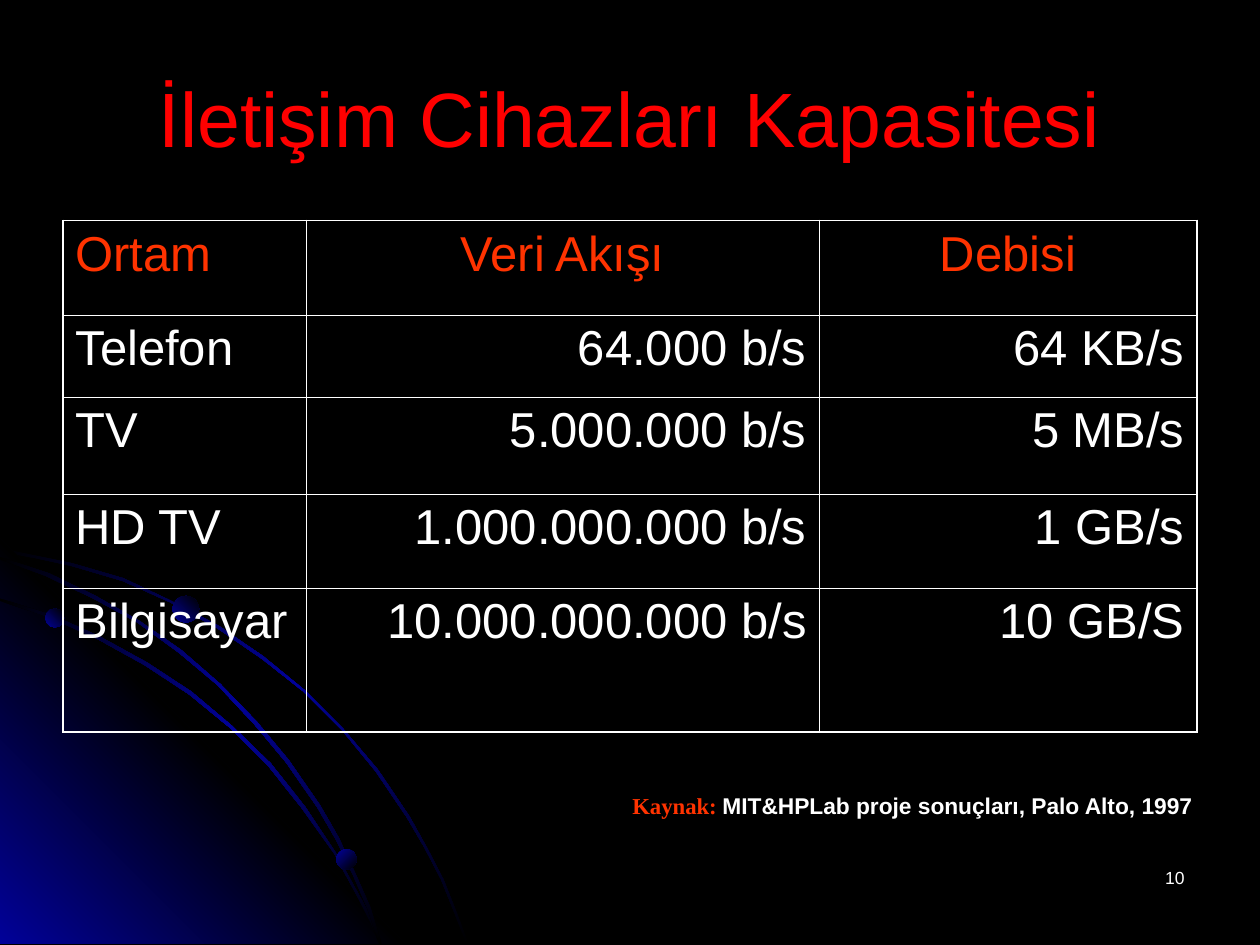
import copy

import pptx
import pptx.util
from lxml import etree
from pptx.dml.color import RGBColor
from pptx.enum.shapes import MSO_SHAPE
from pptx.enum.text import MSO_ANCHOR, PP_ALIGN
from pptx.oxml.ns import qn

PX = 9144  # 100 px to the inch


class Theme:
    ink, back, blue = "FFFFFF", "000000", "010199"
    title, head = "FF0000", "FF3300"
    sans, serif = "Arial", "Times New Roman"
    big, cell, note, small = 44, 28, 13, 10
    thin, thick = 0.45, 1.08


LEFT, MID, RIGHT = PP_ALIGN.LEFT, PP_ALIGN.CENTER, PP_ALIGN.RIGHT

TITLE = "İletişim Cihazları Kapasitesi"
ROWS = [
    ("Ortam", "Veri Akışı", "Debisi"),
    ("Telefon", "64.000 b/s", "64 KB/s"),
    ("TV", "5.000.000 b/s", "5 MB/s"),
    ("HD TV", "1.000.000.000 b/s", "1 GB/s"),
    ("Bilgisayar", "10.000.000.000 b/s", "10 GB/S"),
]
WIDTHS = [193, 407, 300]
HEIGHTS = [75, 65, 77, 75, 114]
SOURCE = [
    ("Kaynak: ", Theme.serif, Theme.head),
    ("MIT&HPLab proje sonuçları, Palo Alto, 1997", Theme.sans, Theme.ink),
]
PAGE = "10"

GLOW = [(0, Theme.back), (50, Theme.blue), (100, Theme.back)]
FADE = [(0, Theme.blue), (50, Theme.back), (100, Theme.blue)]
BALL = [(0, Theme.blue), (100, Theme.back)]

OUTER = [
    (57, 447), (28, 441), (0, 435), (0, 438), (28, 443), (56, 449),
    (97, 461), (135, 478), (173, 499), (208, 523), (241, 549), (271, 579),
    (298, 612), (323, 649), (337, 673), (350, 698), (360, 723), (370, 749),
    (372, 749), (362, 723), (352, 698), (339, 673), (325, 648), (300, 611),
    (272, 578), (242, 548), (209, 521), (174, 497), (136, 477), (98, 459),
]
CORNER = [(322, 749), (0, 749), (0, 427)]
INNER = [
    (285, 714), (294, 732), (301, 749), (303, 749), (296, 730), (286, 712),
    (266, 676), (242, 640), (215, 606), (184, 576), (152, 549), (117, 526),
    (79, 505), (41, 488), (0, 475), (0, 477), (39, 490), (77, 507),
    (115, 528), (150, 551), (183, 578), (213, 608), (240, 642), (265, 677),
]
MIDDLE = [
    (0, 442), (0, 444), (36, 457), (74, 475), (109, 494), (142, 518),
    (173, 544), (202, 575), (227, 605), (252, 641), (267, 667), (280, 694),
    (292, 722), (301, 749), (303, 749), (294, 720), (282, 693), (269, 665),
    (254, 639), (229, 603), (204, 573), (175, 543), (144, 516), (111, 493),
    (76, 473), (39, 455),
]
CURVES = [(OUTER, GLOW, 45), (CORNER, FADE, 315), (INNER, GLOW, 45), (MIDDLE, GLOW, 45)]
BALLS = [(36, 483, 15, 315), (267, 674, 16, 45), (137, 473, 21, 315)]  # x, y, size, angle


def shade(shape, stops, angle):
    """Fill with a gradient whose angle runs clockwise; no line, no shadow."""
    shape.shadow.inherit = False
    shape.line.fill.background()
    fill = shape.fill
    fill.gradient()
    fill.gradient_angle = 360 - angle
    group = shape._element.spPr.find(".//" + qn("a:gsLst"))
    while len(group) < len(stops):
        group.append(copy.deepcopy(group[0]))
    for stop, (place, tone) in zip(fill.gradient_stops, stops):
        stop.position = place / 100
        stop.color.rgb = RGBColor.from_string(tone)


def put(frame, runs, size, align, bold=False):
    para = frame.paragraphs[0]
    para.alignment = align
    for text, face, tone in runs:
        run = para.add_run()
        run.text = text
        run.font.name = face
        run.font.size = pptx.util.Pt(size)
        run.font.bold = bold
        run.font.color.rgb = RGBColor.from_string(tone)


def label(slide, box, runs, size, align, anchor=MSO_ANCHOR.MIDDLE, bold=False):
    frame = slide.shapes.add_textbox(*(n * PX for n in box)).text_frame
    frame.word_wrap = True
    frame.vertical_anchor = anchor
    put(frame, runs, size, align, bold)


def edge(cell, sides):
    """Draw the four cell borders; sides maps L, R, T, B to a width in points."""
    props = cell._tc.get_or_add_tcPr()
    for spot, (side, width) in enumerate(sides.items()):
        line = etree.Element(qn("a:ln" + side), w=str(pptx.util.Pt(width)))
        fill = etree.SubElement(line, qn("a:solidFill"))
        etree.SubElement(fill, qn("a:srgbClr"), val=Theme.ink)
        props.insert(spot, line)


def decor(slide):
    for points, stops, angle in CURVES:
        pen = slide.shapes.build_freeform(*points[0], scale=PX)
        pen.add_line_segments(points[1:], close=True)
        shade(pen.convert_to_shape(), stops, angle)
    for x, y, size, angle in BALLS:
        ball = slide.shapes.add_shape(MSO_SHAPE.OVAL, x * PX, y * PX, size * PX, size * PX)
        shade(ball, BALL, angle)


def grid(slide, x, y):
    table = slide.shapes.add_table(
        len(ROWS), len(WIDTHS), x * PX, y * PX, sum(WIDTHS) * PX, sum(HEIGHTS) * PX
    ).table
    table.first_row = table.horz_banding = False
    for col, width in zip(table.columns, WIDTHS):
        col.width = width * PX
    for row, height in zip(table.rows, HEIGHTS):
        row.height = height * PX
    last, end = len(ROWS) - 1, len(WIDTHS) - 1
    for r, row in enumerate(ROWS):
        for c, text in enumerate(row):
            cell = table.cell(r, c)
            cell.fill.background()
            tone = Theme.ink if r else Theme.head
            align = LEFT if c == 0 else RIGHT if r else MID
            put(cell.text_frame, [(text, Theme.sans, tone)], Theme.cell, align)
            rim = {"L": c == 0, "R": c == end, "T": r == 0, "B": r == last}
            edge(cell, {k: Theme.thick if on else Theme.thin for k, on in rim.items()})


def main():
    deck = pptx.Presentation()
    deck.slide_width, deck.slide_height = 1000 * PX, 750 * PX
    slide = deck.slides.add_slide(deck.slide_layouts[6])
    back = slide.background.fill
    back.solid()
    back.fore_color.rgb = RGBColor.from_string(Theme.back)
    decor(slide)
    label(slide, (717, 683, 233, 50), [(PAGE, Theme.sans, Theme.ink)],
          Theme.small, RIGHT, MSO_ANCHOR.TOP)
    label(slide, (50, 30, 900, 125), [(TITLE, Theme.sans, Theme.title)], Theme.big, MID)
    grid(slide, 50, 175)
    label(slide, (492, 627, 508, 25), SOURCE, Theme.note, LEFT, bold=True)
    deck.save("out.pptx")


if __name__ == "__main__":
    main()
